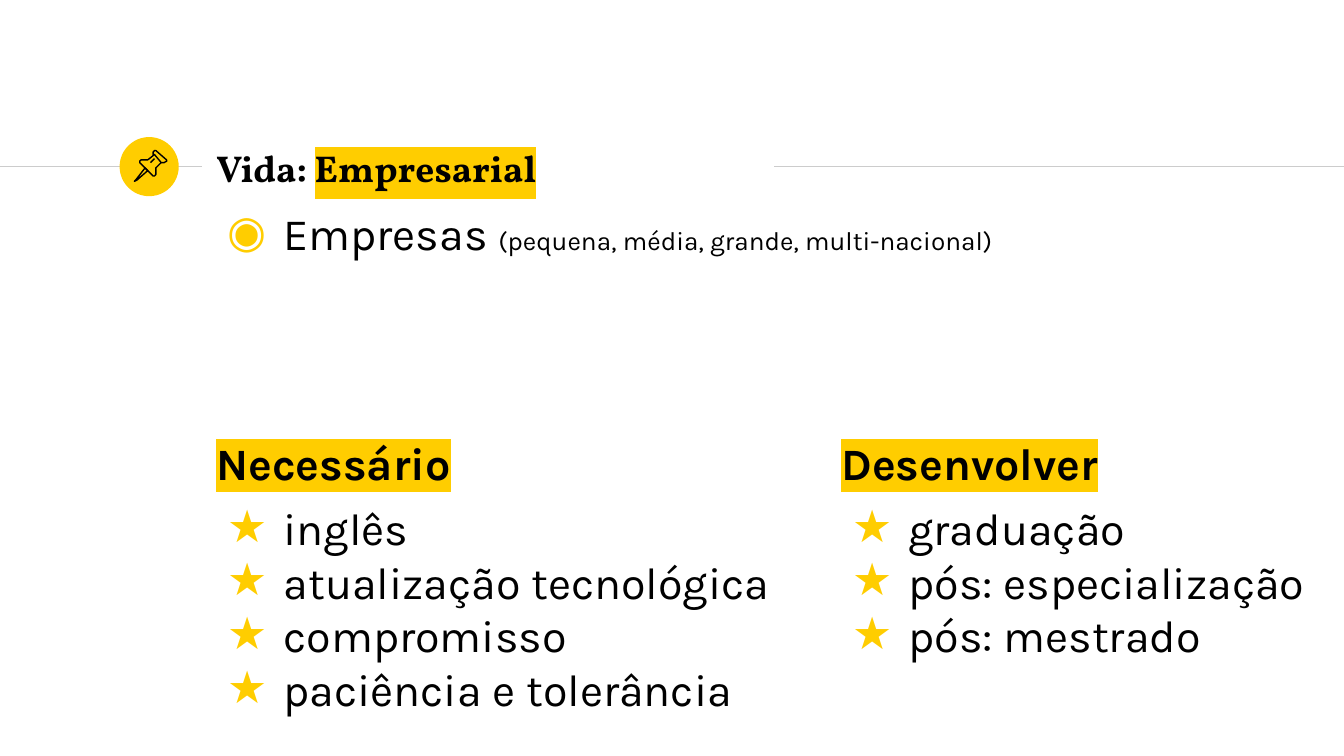
from pptx import Presentation
from pptx.dml.color import RGBColor
from pptx.enum.shapes import MSO_CONNECTOR, MSO_SHAPE
from pptx.enum.text import MSO_ANCHOR, MSO_AUTO_SIZE, PP_ALIGN
from pptx.oxml.ns import qn
from pptx.util import Inches, Pt
from lxml.etree import SubElement

THEME = {
    "head": "Vollkorn", "body": "Karla",
    "ink": "000000", "gold": "FFCD00", "rule": "CCCCCC",
    "title": 20, "list": 24, "note": 14, "line": 0.75,
}

# Content
TITLE = ("Vida: ", "Empresarial")
TOPIC = ("Empresas ", "(pequena, média, grande, multi-nacional)")
LISTS = [
    ("Necessário", ["inglês", "atualização tecnológica", "compromisso",
                    "paciência e tolerância"]),
    ("Desenvolver", ["graduação", "pós: especialização", "pós: mestrado"]),
]

# Places: left, top, width, height
TITLE_BOX = (1.51, 1.01, 4.24, 0.48)
TOPIC_BOX = (1.51, 1.43, 8.23, 3.4)
LIST_BOXES = [(1.51, 3.14, 4.44, 3.53), (6.16, 3.14, 3.75, 3.53)]
RULE_Y = 1.24
RULES = [(0, 1.5), (5.76, 10)]
DISC = (0.89, 1.02, 0.44, 0.44)

# Pushpin outlines: points and whether the outline closes
PIN = [
    ([(1.08, 1.25), (1.01, 1.34), (1, 1.35), (1.02, 1.34), (1.1, 1.27)], True),
    ([(1.15, 1.15), (1.2, 1.21), (1.22, 1.21), (1.24, 1.2), (1.24, 1.19),
      (1.16, 1.12), (1.15, 1.12), (1.14, 1.13), (1.14, 1.15)], True),
    ([(1.15, 1.15), (1.1, 1.19), (1.07, 1.19), (1.05, 1.19), (1.04, 1.2),
      (1.04, 1.21), (1.14, 1.31), (1.15, 1.31), (1.16, 1.3), (1.16, 1.28),
      (1.16, 1.25), (1.2, 1.21)], False),
    ([(1.12, 1.21), (1.15, 1.18)], False),
]


def color(name):
    return RGBColor.from_string(THEME[name])


def place(box, spot, anchor=MSO_ANCHOR.TOP):
    box.left, box.top, box.width, box.height = map(Inches, spot)
    frame = box.text_frame
    frame.word_wrap = True
    frame.auto_size = MSO_AUTO_SIZE.NONE
    frame.vertical_anchor = anchor
    frame.margin_left = frame.margin_right = Inches(0.1)
    frame.margin_top = frame.margin_bottom = Inches(0.1)
    return frame


def start(frame, first=False, bullet=None, before=0):
    para = frame.paragraphs[0] if first else frame.add_paragraph()
    props = para._p.get_or_add_pPr()
    props.set("marL", str(Inches(0.5 if bullet else 0)))
    props.set("indent", str(Inches(-0.42 if bullet else 0)))
    if bullet:
        tint = SubElement(props, qn("a:buClr"))
        SubElement(tint, qn("a:srgbClr"), val=THEME["gold"])
        SubElement(props, qn("a:buFont"), typeface=THEME["body"])
        SubElement(props, qn("a:buChar"), char=bullet)
    else:
        SubElement(props, qn("a:buNone"))
    para.alignment = PP_ALIGN.LEFT
    para.line_spacing = 1.0
    para.space_before = Pt(before)
    para.space_after = Pt(0)
    return para


def write(para, text, size="list", face="body", bold=False, mark=False):
    run = para.add_run()
    run.text = text
    font = run.font
    font.size, font.bold = Pt(THEME[size]), bold
    font.color.rgb = color("ink")
    if mark:
        glow = SubElement(run._r.get_or_add_rPr(), qn("a:highlight"))
        SubElement(glow, qn("a:srgbClr"), val=THEME["gold"])
    font.name = THEME[face]


def main():
    # Widescreen page, 16 to 9
    deck = Presentation()
    deck.slide_width = Inches(10)
    deck.slide_height = deck.slide_width * 9 // 16
    slide = deck.slides.add_slide(deck.slide_layouts[4])
    shapes = slide.shapes
    title, topic, left, spare, right = slide.placeholders
    spare.element.getparent().remove(spare.element)

    # Rules on both sides of the title
    for x1, x2 in RULES:
        rule = shapes.add_connector(MSO_CONNECTOR.STRAIGHT, Inches(x1),
                                    Inches(RULE_Y), Inches(x2), Inches(RULE_Y))
        rule.line.color.rgb = color("rule")
        rule.line.width = Pt(THEME["line"])
        SubElement(rule._element.spPr, qn("a:effectLst"))

    # Pushpin on its disc
    disc = shapes.add_shape(MSO_SHAPE.OVAL, *map(Inches, DISC))
    disc.shadow.inherit = False
    disc.fill.solid()
    disc.fill.fore_color.rgb = color("gold")
    disc.line.fill.background()
    for points, closed in PIN:
        spots = [(Inches(x), Inches(y)) for x, y in points]
        pen = shapes.build_freeform(*spots[0])
        pen.add_line_segments(spots[1:], close=closed)
        part = pen.convert_to_shape()
        part.shadow.inherit = False
        part.fill.background()
        part.line.color.rgb = color("ink")
        part.line.width = Pt(THEME["line"])

    # Title
    para = start(place(title, TITLE_BOX, MSO_ANCHOR.MIDDLE), first=True)
    for text, mark in zip(TITLE, (False, True)):
        write(para, text, size="title", face="head", bold=True, mark=mark)

    # Topic line
    para = start(place(topic, TOPIC_BOX), first=True, bullet="◉")
    for text, size in zip(TOPIC, ("list", "note")):
        write(para, text, size=size)

    # Two starred lists
    for box, spot, (head, items) in zip((left, right), LIST_BOXES, LISTS):
        frame = place(box, spot)
        write(start(frame, first=True), head, bold=True, mark=True)
        for i, item in enumerate(items):
            write(start(frame, bullet="★", before=0 if i else 6), item)

    deck.save("out.pptx")


if __name__ == "__main__":
    main()
